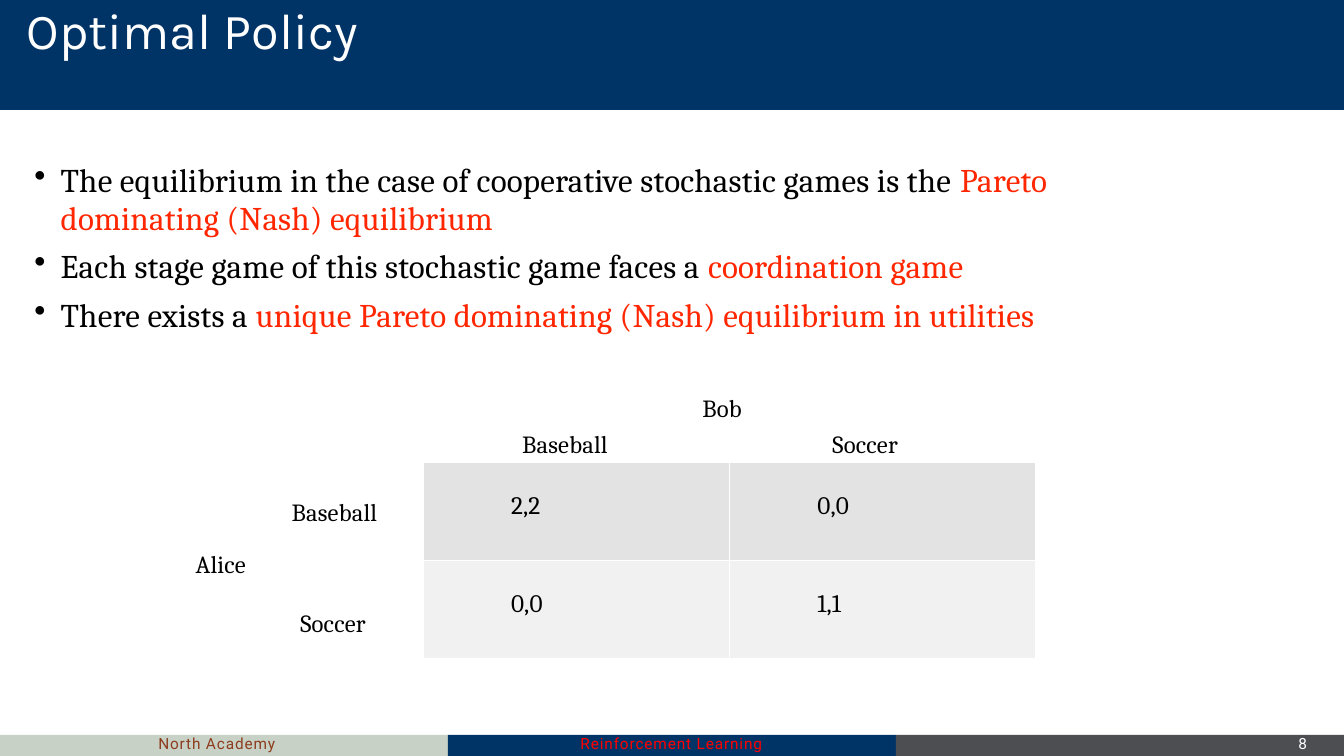
from lxml import etree
from pptx import Presentation
from pptx.dml.color import RGBColor
from pptx.enum.shapes import MSO_SHAPE
from pptx.oxml.ns import qn
from pptx.util import Cm, Pt

RECTANGLE = MSO_SHAPE.RECTANGLE
NAVY, WHITE, BLACK, RED = "003366", "FFFFFF", "000000", "FF2600"
BODY_FONT, FOOTER_FONT, TITLE_FONT = "Cambria", "Roboto", "Karla"
SLIDE_WIDTH, SLIDE_HEIGHT = 33.87, 19.05
FOOTER_TOP = 18.52
BAND_WIDTH = SLIDE_WIDTH / 3

BULLETS = [
    # black text, red text, space before in points
    ("The equilibrium in the case of cooperative stochastic games is the ",
     "Pareto dominating (Nash) equilibrium", 3.6),
    ("Each stage game of this stochastic game faces a ", "coordination game", 5.9),
    ("There exists a ",
     "unique Pareto dominating (Nash) equilibrium in utilities", 6.6),
]
PAYOFFS = [("2,2", "0,0"), ("0,0", "1,1")]
ROW_FILLS = ["E3E3E3", "F1F1F1"]
LABELS = [
    ("Bob", 17.65, 9.86),
    ("Baseball", 13.11, 10.77),
    ("Soccer", 20.93, 10.77),
    ("Baseball", 7.3, 12.47),
    ("Alice", 4.88, 13.77),
    ("Soccer", 7.52, 15.28),
]
FOOTERS = [
    # text, left, width, colour, letter spacing in points
    ("North Academy", 3.99, 6.07, "8D3C1E", 0.6),
    ("Reinforcement Learning", 14.63, 6.07, "FF0000", 0.6),
    ("8", 32.72, 1.12, WHITE, 0),
]


def rgb(colour):
    return RGBColor.from_string(colour)


def add_band(slide, left, top, width, height, colour):
    band = slide.shapes.add_shape(RECTANGLE, Cm(left), Cm(top), Cm(width), Cm(height))
    band.shadow.inherit = False
    band.fill.solid()
    band.fill.fore_color.rgb = rgb(colour)
    band.line.fill.background()


def add_text_frame(slide, left, top, width, height, inset_top=0, inset_left=0):
    text_box = slide.shapes.add_textbox(Cm(left), Cm(top), Cm(width), Cm(height))
    frame = text_box.text_frame
    frame.word_wrap = True
    frame.margin_left, frame.margin_top = Cm(inset_left), Cm(inset_top)
    frame.margin_right = frame.margin_bottom = 0
    return frame


def set_font(paragraph, name, size, colour=None):
    paragraph.font.name = name
    paragraph.font.size = Pt(size)
    if colour:
        paragraph.font.color.rgb = rgb(colour)


def add_run(paragraph, text, spacing=0, colour=None):
    """Add a run with letter spacing in points."""
    run = paragraph.add_run()
    run.text = text
    if spacing:
        run._r.get_or_add_rPr().set("spc", str(round(spacing * 100)))
    if colour:
        run.font.color.rgb = rgb(colour)


def add_line(frame, text, name, size, colour, spacing=0):
    """Fill the first paragraph of a frame and return it."""
    paragraph = frame.paragraphs[0]
    set_font(paragraph, name, size, colour)
    add_run(paragraph, text, spacing)
    return paragraph


def set_bullet(paragraph):
    properties = paragraph._p.get_or_add_pPr()
    properties.set("marL", str(Cm(0.72)))
    properties.set("indent", str(Cm(-0.66)))
    bullet = etree.Element(qn("a:buChar"), char="•")
    default_font = properties.find(qn("a:defRPr"))
    if default_font is None:
        properties.append(bullet)
    else:
        default_font.addprevious(bullet)


def add_bullets(slide):
    frame = add_text_frame(slide, 0.81, 3.94, 27.74, 5, inset_top=0.13)
    for index, (black_text, red_text, space_before) in enumerate(BULLETS):
        paragraph = frame.paragraphs[0] if index == 0 else frame.add_paragraph()
        paragraph.space_before = Pt(space_before)
        if index == 0:
            paragraph.line_spacing = Pt(27)
        set_font(paragraph, BODY_FONT, 23.6)
        set_bullet(paragraph)
        add_run(paragraph, black_text, 0.13, BLACK)
        add_run(paragraph, red_text, 0.13, RED)


def add_label(slide, text, left, top):
    frame = add_text_frame(slide, left, top, 2.5, 0.81, inset_top=0.05, inset_left=0.05)
    paragraph = add_line(frame, text, BODY_FONT, 17.6, BLACK, 0.15)
    paragraph.space_before = Pt(1.6)


def set_borders(cell, colour):
    properties = cell._tc.get_or_add_tcPr()
    for index, side in enumerate(("a:lnL", "a:lnR", "a:lnT", "a:lnB")):
        line = etree.Element(qn(side), w=str(Pt(1)))
        fill = etree.SubElement(line, qn("a:solidFill"))
        etree.SubElement(fill, qn("a:srgbClr"), val=colour)
        properties.insert(index, line)


def add_payoff_table(slide):
    table = slide.shapes.add_table(
        2, 2, Cm(10.67), Cm(11.66), Cm(15.44), Cm(4.93)).table
    table.first_row = table.horz_banding = False
    for row, (payoffs, fill) in enumerate(zip(PAYOFFS, ROW_FILLS)):
        for column, payoff in enumerate(payoffs):
            cell = table.cell(row, column)
            cell.margin_left, cell.margin_top = Cm(2.21), Cm(0.74)
            cell.margin_right = cell.margin_bottom = 0
            cell.fill.solid()
            cell.fill.fore_color.rgb = rgb(fill)
            set_borders(cell, WHITE)
            add_line(cell.text_frame, payoff, BODY_FONT, 18, BLACK, 0.1)


def add_footer(slide):
    for index, colour in enumerate(("C7D1C5", NAVY, "4C4E52")):
        add_band(slide, index * BAND_WIDTH, FOOTER_TOP, BAND_WIDTH,
                 SLIDE_HEIGHT - FOOTER_TOP, colour)
    for text, left, width, colour, spacing in FOOTERS:
        frame = add_text_frame(slide, left, 18.75, width, 0.25)
        paragraph = add_line(frame, text, FOOTER_FONT, 11, colour, spacing)
        paragraph.line_spacing = Pt(5.8)


def add_title(slide):
    add_band(slide, 0, 0, SLIDE_WIDTH, 2.77, NAVY)
    frame = add_text_frame(slide, 0.43, 0.03, 28.98, 1.85, inset_top=0.13, inset_left=0.25)
    paragraph = add_line(frame, "Optimal Policy", TITLE_FONT, 36, WHITE)
    paragraph.line_spacing = 0.9


def main():
    presentation = Presentation()
    presentation.slide_width = Cm(SLIDE_WIDTH)
    presentation.slide_height = Cm(SLIDE_HEIGHT)
    slide = presentation.slides.add_slide(presentation.slide_layouts[6])
    add_footer(slide)
    add_title(slide)
    add_bullets(slide)
    add_payoff_table(slide)
    for text, left, top in LABELS:
        add_label(slide, text, left, top)
    presentation.save("out.pptx")


if __name__ == "__main__":
    main()
